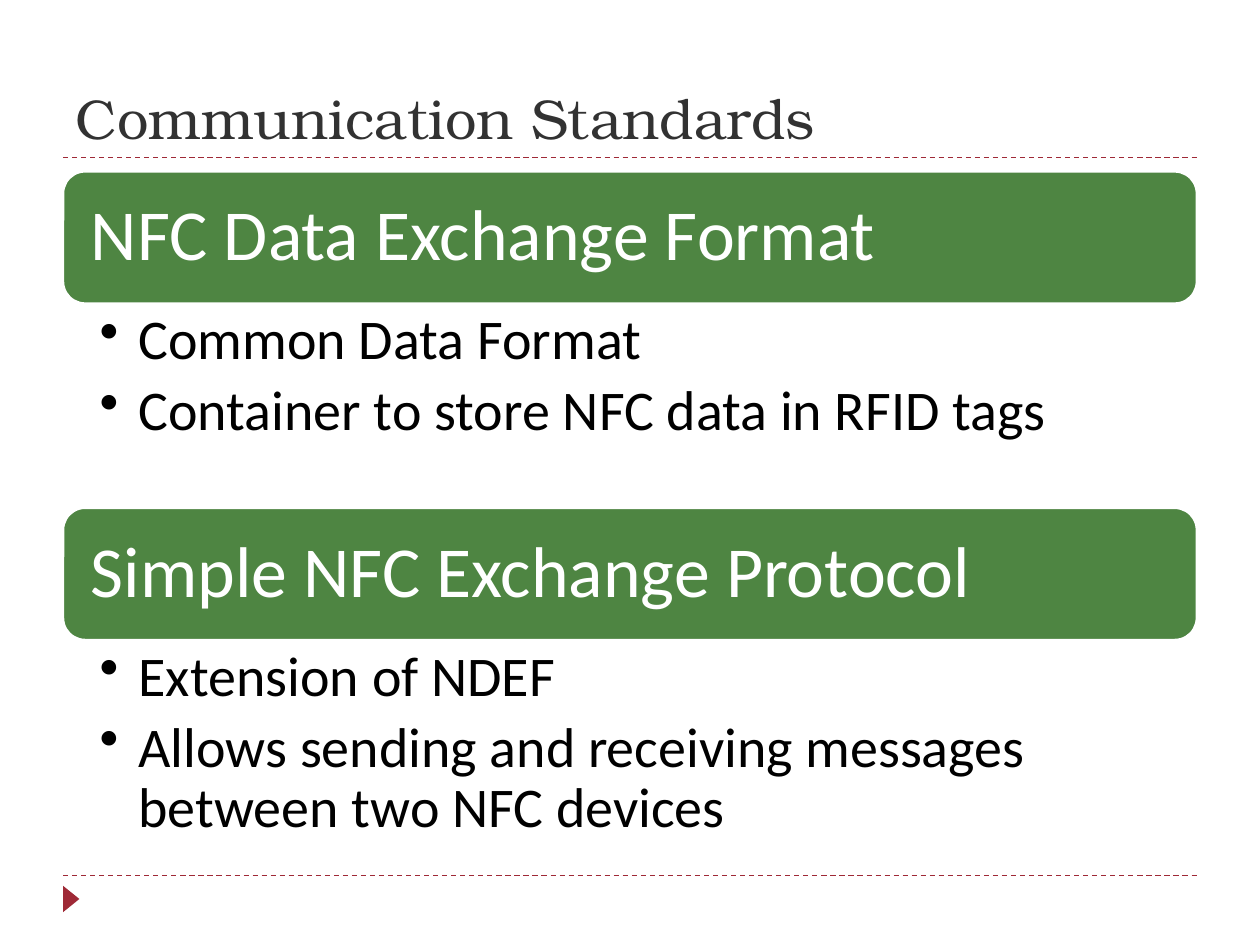
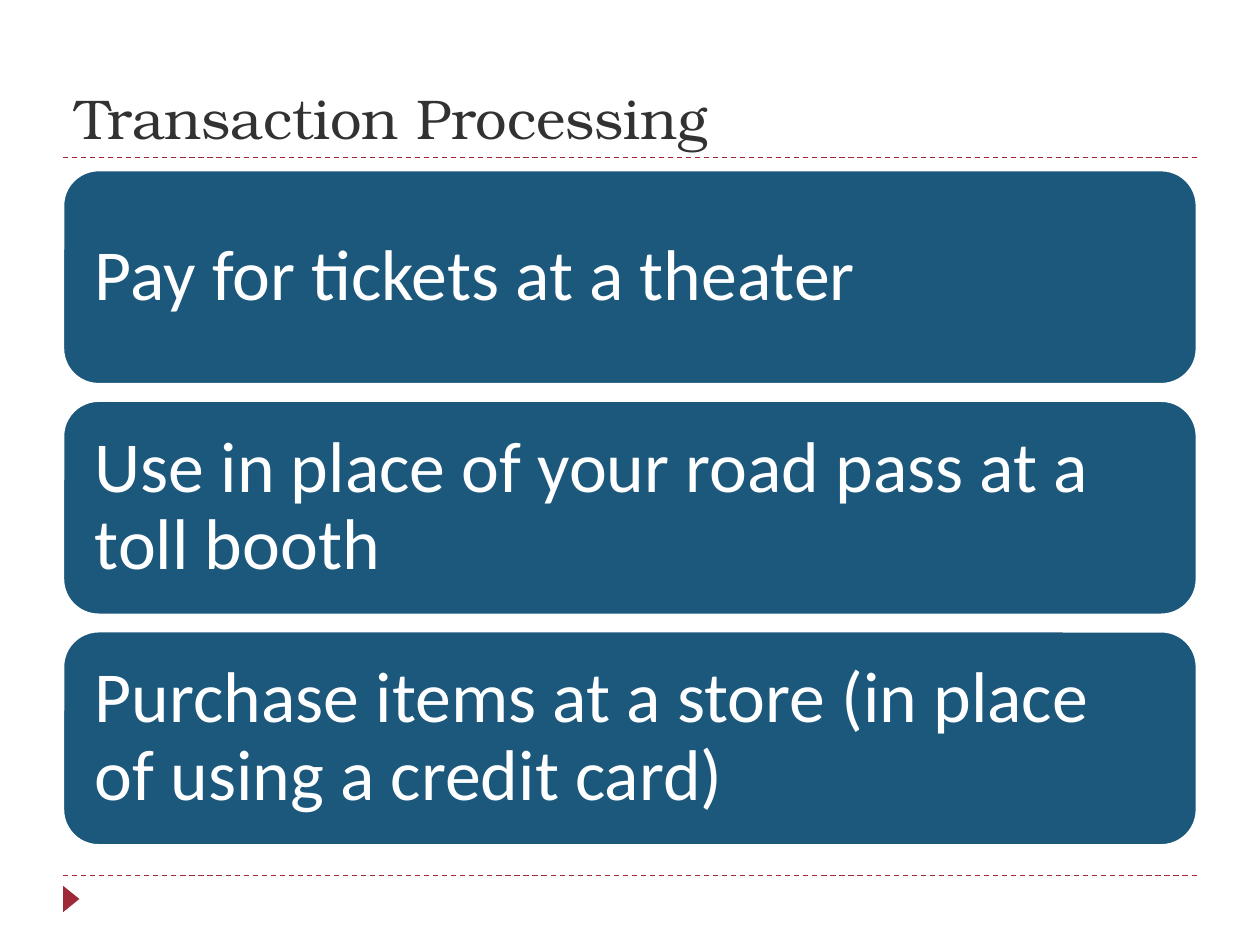
from lxml import etree
from pptx import Presentation
from pptx.dml.color import RGBColor
from pptx.enum.dml import MSO_LINE
from pptx.enum.shapes import MSO_CONNECTOR, MSO_SHAPE
from pptx.enum.text import MSO_ANCHOR, MSO_AUTO_SIZE, PP_ALIGN
from pptx.oxml.ns import qn
from pptx.util import Inches, Pt

DASH = MSO_LINE.DASH
STRAIGHT = MSO_CONNECTOR.STRAIGHT
ROUNDED = MSO_SHAPE.ROUNDED_RECTANGLE
TRIANGLE = MSO_SHAPE.ISOSCELES_TRIANGLE
BOTTOM, MIDDLE, TOP = MSO_ANCHOR.BOTTOM, MSO_ANCHOR.MIDDLE, MSO_ANCHOR.TOP
NO_FIT = MSO_AUTO_SIZE.NONE
LEFT = PP_ALIGN.LEFT

RED = RGBColor(0x9F, 0x29, 0x36)
GREEN = RGBColor(0x4E, 0x85, 0x42)
BLUE = RGBColor(0x1B, 0x58, 0x7C)
CHARCOAL = RGBColor(0x32, 0x32, 0x32)
BLACK = RGBColor(0, 0, 0)
WHITE = RGBColor(0xFF, 0xFF, 0xFF)

TITLE_FONT = "TeX Gyre Bonum"
BODY_FONT = "Calibri"
MARGIN = 0.5
WIDTH = 9
BANNER_HEIGHT = 1.05
BULLETS_HEIGHT = 1.62
CARD_HEIGHT = 1.7
CARD_GAP = 0.13

STANDARDS = [
    ("NFC Data Exchange Format",
     ["Common Data Format", "Container to store NFC data in RFID tags"]),
    ("Simple NFC Exchange Protocol",
     ["Extension of NDEF",
      "Allows sending and receiving messages between two NFC devices"]),
]
USES = [
    "Pay for tickets at a theater",
    "Use in place of your road pass at a toll booth",
    "Purchase items at a store (in place of using a credit card)",
]


def write(shape, lines, size, font, color, anchor, insets, spacing=None):
    frame = shape.text_frame
    frame.word_wrap = True
    frame.auto_size = NO_FIT
    frame.vertical_anchor = anchor
    frame.margin_left, frame.margin_top, frame.margin_right, frame.margin_bottom = map(Inches, insets)
    frame.text = "\n".join(lines)
    for para in frame.paragraphs:
        para.alignment = LEFT
        para.line_spacing = spacing
        for span in para.runs:
            span.font.size = Pt(size)
            span.font.name = font
            span.font.color.rgb = color


def add_card(page, text, top, height, color):
    card = page.shapes.add_shape(ROUNDED, Inches(MARGIN), Inches(top), Inches(WIDTH), Inches(height))
    card.shadow.inherit = False
    card.fill.solid()
    card.fill.fore_color.rgb = color
    card.line.color.rgb = WHITE
    card.line.width = Pt(1.5)
    write(card, [text], 41, BODY_FONT, WHITE, MIDDLE, [0.17] * 4, 0.9)


deck = Presentation()
deck.slide_width = Inches(10)
deck.slide_height = Inches(7.5)

pages = []
for heading in ["Communication Standards", "Transaction Processing"]:
    page = deck.slides.add_slide(deck.slide_layouts[5])
    pages.append(page)
    for height in [6.95, 1.25]:
        rule = page.shapes.add_connector(
            STRAIGHT, Inches(MARGIN), Inches(height), Inches(MARGIN + WIDTH), Inches(height))
        rule.line.color.rgb = RED
        rule.line.width = Pt(0.75)
        rule.line.dash_style = DASH
        etree.SubElement(rule._element.spPr, qn("a:effectLst"))
    marker = page.shapes.add_shape(TRIANGLE, Inches(0.46), Inches(7.07), Inches(0.21), Inches(0.13))
    marker.rotation = 90
    marker.shadow.inherit = False
    marker.fill.solid()
    marker.fill.fore_color.rgb = RED
    marker.line.fill.background()
    title = page.shapes.title
    title.left, title.top = Inches(MARGIN), Inches(0.17)
    title.width, title.height = Inches(WIDTH), Inches(1.08)
    write(title, [heading], 32, TITLE_FONT, CHARCOAL, BOTTOM, [0.1, 0.05, 0.1, 0.05])

standards_page, uses_page = pages

for index, (name, points) in enumerate(STANDARDS):
    top = 1.36 + index * (BANNER_HEIGHT + BULLETS_HEIGHT)
    add_card(standards_page, name, top, BANNER_HEIGHT, GREEN)
    box = standards_page.shapes.add_textbox(
        Inches(MARGIN), Inches(top + BANNER_HEIGHT), Inches(WIDTH), Inches(BULLETS_HEIGHT))
    write(box, points, 32, BODY_FONT, BLACK, TOP, [0.29, 0.06, 0.32, 0.06], 0.9)
    for para in box.text_frame.paragraphs:
        para.level = 1
        para.space_after = Pt(6)
        properties = para._p.get_or_add_pPr()
        properties.set("marL", str(Inches(0.31)))
        properties.set("indent", str(Inches(-0.31)))
        etree.SubElement(properties, qn("a:buChar"), char="•")

for index, use in enumerate(USES):
    add_card(uses_page, use, 1.35 + index * (CARD_HEIGHT + CARD_GAP), CARD_HEIGHT, BLUE)

deck.save("out.pptx")
